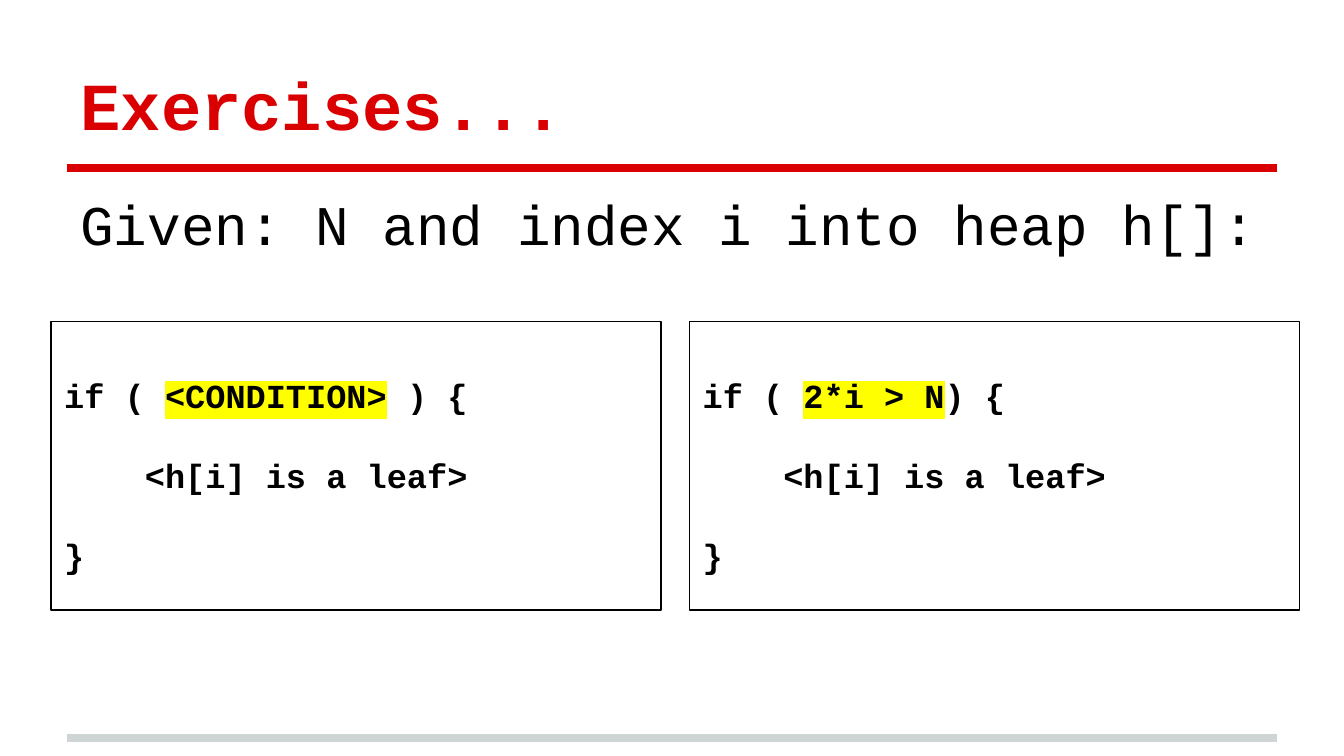
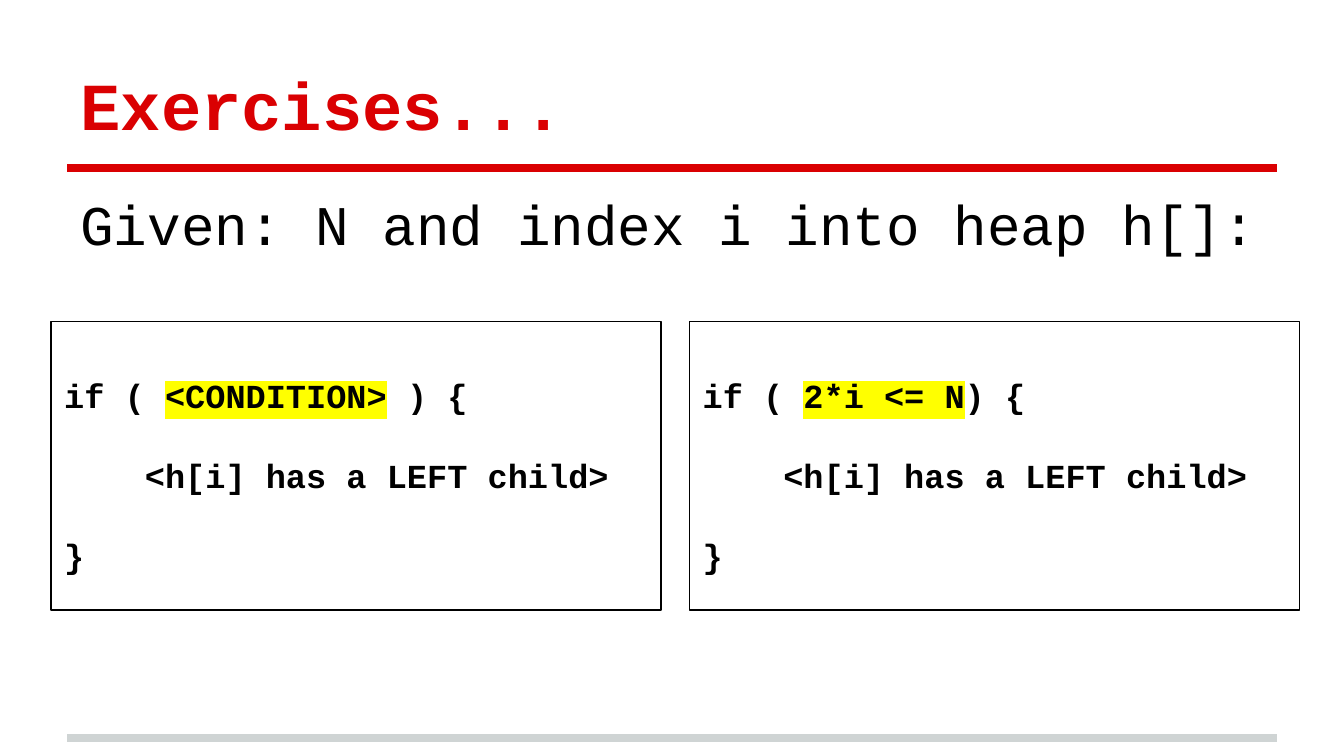
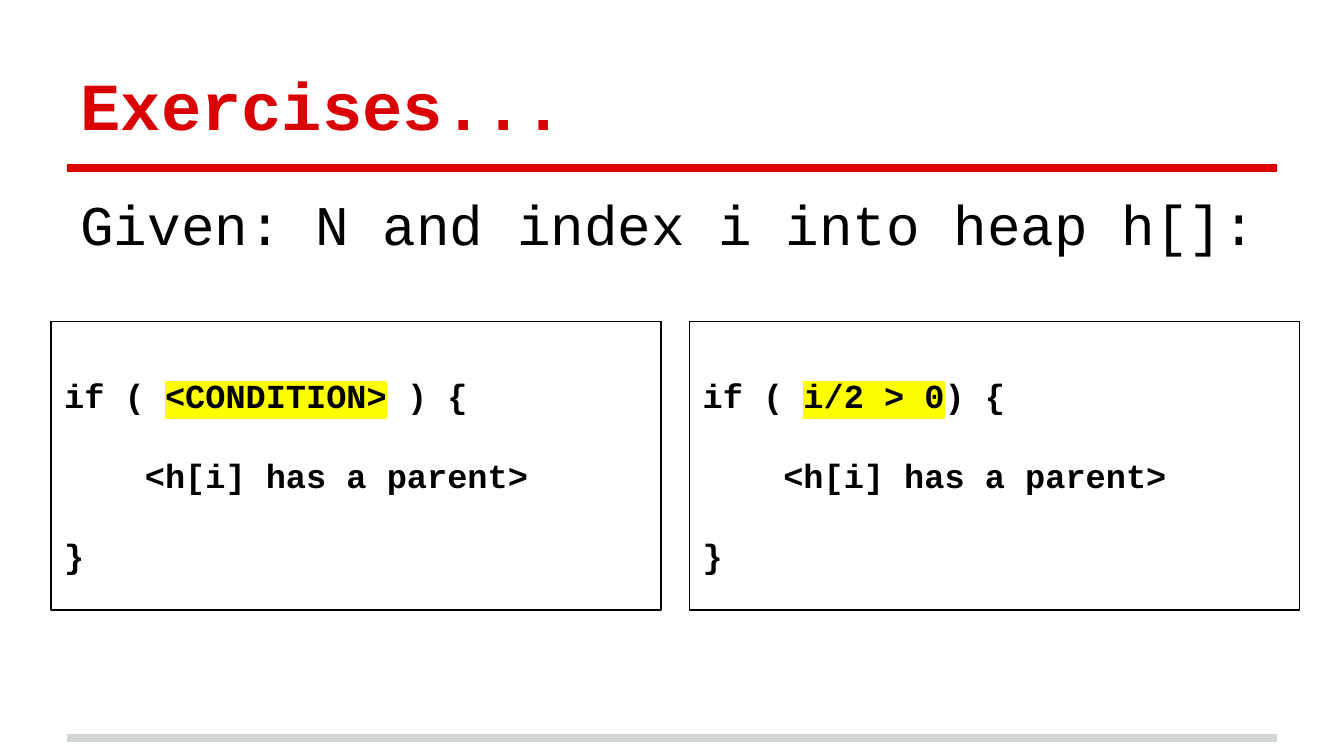
from dataclasses import dataclass

from lxml.etree import SubElement
from pptx import Presentation
from pptx.dml.color import RGBColor as RGB
from pptx.enum.shapes import MSO_CONNECTOR as Connector, MSO_SHAPE as Shape
from pptx.enum.text import MSO_ANCHOR as Anchor, PP_ALIGN as Align
from pptx.oxml.ns import qn
from pptx.util import Inches, Pt


@dataclass(frozen=True)
class Theme:
    font: str = "Courier New"
    red: str = "DA0002"
    grey: str = "CFD4D4"
    ink: str = "000000"
    marker: str = "FFFF00"
    title_size: float = 36
    prompt_size: float = 30
    code_size: float = 18
    code_gap: float = 21.2
    rule_width: float = 4
    border_width: float = 0.75


THEME = Theme()
MARGIN, CONTENT_WIDTH = 0.5, 9
PANEL_LEFT, PANEL_TOP, PANEL_WIDTH, PANEL_HEIGHT = 0.38, 2.39, 4.54, 2.15
PANEL_PITCH = 4.75

EXERCISES = [
    ("2*i > N", "<h[i] is a leaf>"),
    ("2*i <= N", "<h[i] has a LEFT child>"),
    ("i/2 > 0", "<h[i] has a parent>"),
]


def highlight(run, color):
    marker = SubElement(run.font._element, qn("a:highlight"))
    SubElement(marker, qn("a:srgbClr"), val=color)
    run.font._element.find(qn("a:solidFill")).addnext(marker)


def write(frame, lines, *, size, color=THEME.ink, bold=False, gap=0,
          anchor=Anchor.TOP, inset_top=0.1, marked=None):
    frame.word_wrap = True
    frame.vertical_anchor = anchor
    frame.margin_left = frame.margin_right = frame.margin_bottom = Inches(0.1)
    frame.margin_top = Inches(inset_top)
    for number, pieces in enumerate(lines):
        paragraph = frame.add_paragraph() if number else frame.paragraphs[0]
        paragraph.alignment = Align.LEFT
        if number:
            paragraph.space_before = Pt(gap)
        for piece in pieces:
            run = paragraph.add_run()
            run.text = piece
            run.font.name = THEME.font
            run.font.size = Pt(size)
            run.font.bold = bold
            run.font.color.rgb = RGB.from_string(color)
            if piece == marked:
                highlight(run, THEME.marker)


def add_rule(slide, y, color):
    rule = slide.shapes.add_connector(
        Connector.STRAIGHT, Inches(MARGIN), Inches(y),
        Inches(MARGIN + CONTENT_WIDTH), Inches(y))
    rule.line.color.rgb = RGB.from_string(color)
    rule.line.width = Pt(THEME.rule_width)
    SubElement(rule._element.spPr, qn("a:effectLst"))


def add_heading(slide, text, top, **style):
    heading = slide.shapes.add_textbox(
        Inches(MARGIN), Inches(top), Inches(CONTENT_WIDTH), Inches(0.94))
    write(heading.text_frame, [[text]], **style)


def add_code_panel(slide, column, condition, closing, statement):
    panel = slide.shapes.add_shape(
        Shape.RECTANGLE, Inches(PANEL_LEFT + column * PANEL_PITCH),
        Inches(PANEL_TOP), Inches(PANEL_WIDTH), Inches(PANEL_HEIGHT))
    panel.shadow.inherit = False
    panel.fill.background()
    panel.line.color.rgb = RGB.from_string(THEME.ink)
    panel.line.width = Pt(THEME.border_width)
    code = [["if ( ", condition, closing], ["    " + statement], ["}"]]
    write(panel.text_frame, code, size=THEME.code_size, bold=True,
          gap=THEME.code_gap, inset_top=0.4, marked=condition)


def add_exercise(deck, answer, statement):
    slide = deck.slides.add_slide(deck.slide_layouts[6])
    add_rule(slide, 5.49, THEME.grey)
    add_rule(slide, 1.25, THEME.red)
    add_heading(slide, "Exercises...", 0.23, size=THEME.title_size,
                color=THEME.red, bold=True, anchor=Anchor.BOTTOM)
    add_heading(slide, "Given: N and index i into heap h[]:", 1.31,
                size=THEME.prompt_size)
    add_code_panel(slide, 0, "<CONDITION>", " ) {", statement)
    add_code_panel(slide, 1, answer, ") {", statement)


def main():
    deck = Presentation()
    deck.slide_width = Inches(10)
    deck.slide_height = deck.slide_width * 9 // 16
    for answer, statement in EXERCISES:
        add_exercise(deck, answer, statement)
    deck.save("out.pptx")


if __name__ == "__main__":
    main()
